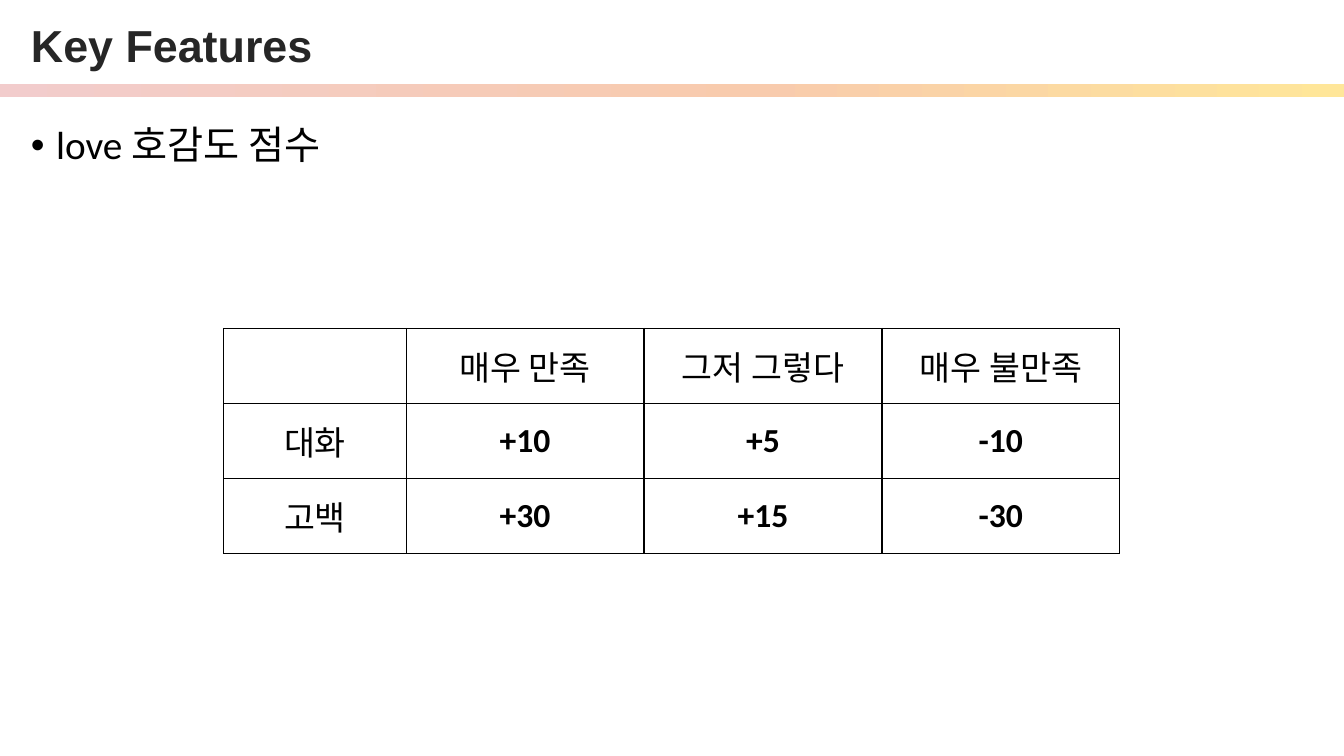
from lxml.etree import SubElement
from pptx import Presentation
from pptx.dml.color import RGBColor
from pptx.enum.shapes import MSO_SHAPE
from pptx.enum.text import MSO_ANCHOR, PP_ALIGN
from pptx.oxml.ns import qn
from pptx.util import Inches, Pt

COLUMNS, ROWS = 160, 90
WHITE = RGBColor(0xFF, 0xFF, 0xFF)
BLACK = RGBColor(0x00, 0x00, 0x00)
CHARCOAL = RGBColor(0x26, 0x26, 0x26)
PINK = RGBColor(0xF2, 0xCC, 0xCC)
PEACH = RGBColor(0xF8, 0xCB, 0xAD)
YELLOW = RGBColor(0xFF, 0xE6, 0x99)

SCORES = [
    ["", "매우 만족", "그저 그렇다", "매우 불만족"],
    ["대화", "+10", "+5", "-10"],
    ["고백", "+30", "+15", "-30"],
]


def write(frame, text, size, font="Calibri", color=BLACK, bold=False,
          align=PP_ALIGN.LEFT, line_spacing=None, space_before=None):
    paragraph = frame.paragraphs[0]
    paragraph.alignment = align
    paragraph.line_spacing = line_spacing
    if space_before is not None:
        paragraph.space_before = Pt(space_before)
    run = paragraph.add_run()
    run.text = text
    run.font.size = Pt(size)
    run.font.name = font
    run.font.bold = bold
    run.font.color.rgb = color
    return paragraph


def add_bullet(paragraph, indent):
    properties = paragraph._p.get_or_add_pPr()
    properties.set("marL", str(indent))
    properties.set("indent", str(-indent))
    SubElement(properties, qn("a:buFont"), typeface="Arial")
    SubElement(properties, qn("a:buChar"), char="•")


def add_solid(parent, color):
    fill = SubElement(parent, qn("a:solidFill"))
    SubElement(fill, qn("a:srgbClr"), val=str(color))


def outline_cell(cell, color, width):
    properties = cell._tc.get_or_add_tcPr()
    for position, side in enumerate(("lnL", "lnR", "lnT", "lnB")):
        border = SubElement(properties, qn(f"a:{side}"), w=str(Pt(width)))
        add_solid(border, color)
        properties.insert(position, border)


class SlideBuilder:
    """Places elements by columns and rows of the slide grid."""

    def __init__(self, presentation):
        self.column = presentation.slide_width / COLUMNS
        self.row = presentation.slide_height / ROWS
        self.slide = presentation.slides.add_slide(presentation.slide_layouts[6])
        background = self.slide.background.fill
        background.solid()
        background.fore_color.rgb = WHITE

    def place(self, left, top, width, height):
        return (round(left * self.column), round(top * self.row),
                round(width * self.column), round(height * self.row))

    def gradient_band(self, box, stops):
        band = self.slide.shapes.add_shape(MSO_SHAPE.RECTANGLE, *self.place(*box))
        band.shadow.inherit = False
        band.line.fill.background()
        band.fill.gradient()
        band.fill.gradient_angle = 0
        stop_list = band._element.spPr.find(qn("a:gradFill")).find(qn("a:gsLst"))
        for stop in list(stop_list):
            stop_list.remove(stop)
        for percent, color in stops:
            stop = SubElement(stop_list, qn("a:gs"), pos=str(percent * 1000))
            SubElement(stop, qn("a:srgbClr"), val=str(color))

    def text(self, box, text, anchor=MSO_ANCHOR.TOP, **text_format):
        frame = self.slide.shapes.add_textbox(*self.place(*box)).text_frame
        frame.word_wrap = True
        frame.vertical_anchor = anchor
        return write(frame, text, **text_format)

    def table(self, left, top, widths, row_height, rows):
        box = self.place(left, top, sum(widths), row_height * len(rows))
        table = self.slide.shapes.add_table(len(rows), len(widths), *box).table
        table.first_row = table.horz_banding = False
        for column, width in zip(table.columns, widths):
            column.width = round(width * self.column)
        for r, values in enumerate(rows):
            for c, value in enumerate(values):
                cell = table.cell(r, c)
                cell.fill.background()
                cell.vertical_anchor = MSO_ANCHOR.MIDDLE
                outline_cell(cell, BLACK, 1)
                if value:
                    write(cell.text_frame, value, 24, bold=r > 0 and c > 0,
                          align=PP_ALIGN.CENTER)


def main():
    presentation = Presentation()
    presentation.slide_width = Inches(13.33)
    presentation.slide_height = Inches(7.5)
    builder = SlideBuilder(presentation)
    builder.gradient_band((0, 10, COLUMNS, 1.56),
                          [(0, PINK), (56, PEACH), (100, YELLOW)])
    builder.text((2.5, 1.92, 154.6, 7.7), "Key Features", MSO_ANCHOR.MIDDLE,
                 size=32, font="Arial", color=CHARCOAL, bold=True,
                 line_spacing=0.9)
    topic = builder.text((2.5, 14.4, 154.6, 64.6), "love 호감도 점수",
                         size=28, line_spacing=0.9, space_before=10)
    add_bullet(topic, Inches(0.25))
    builder.table(26.64, 39.12, [21.72] + [28.32] * 3, 8.93, SCORES)
    presentation.save("out.pptx")


if __name__ == "__main__":
    main()
